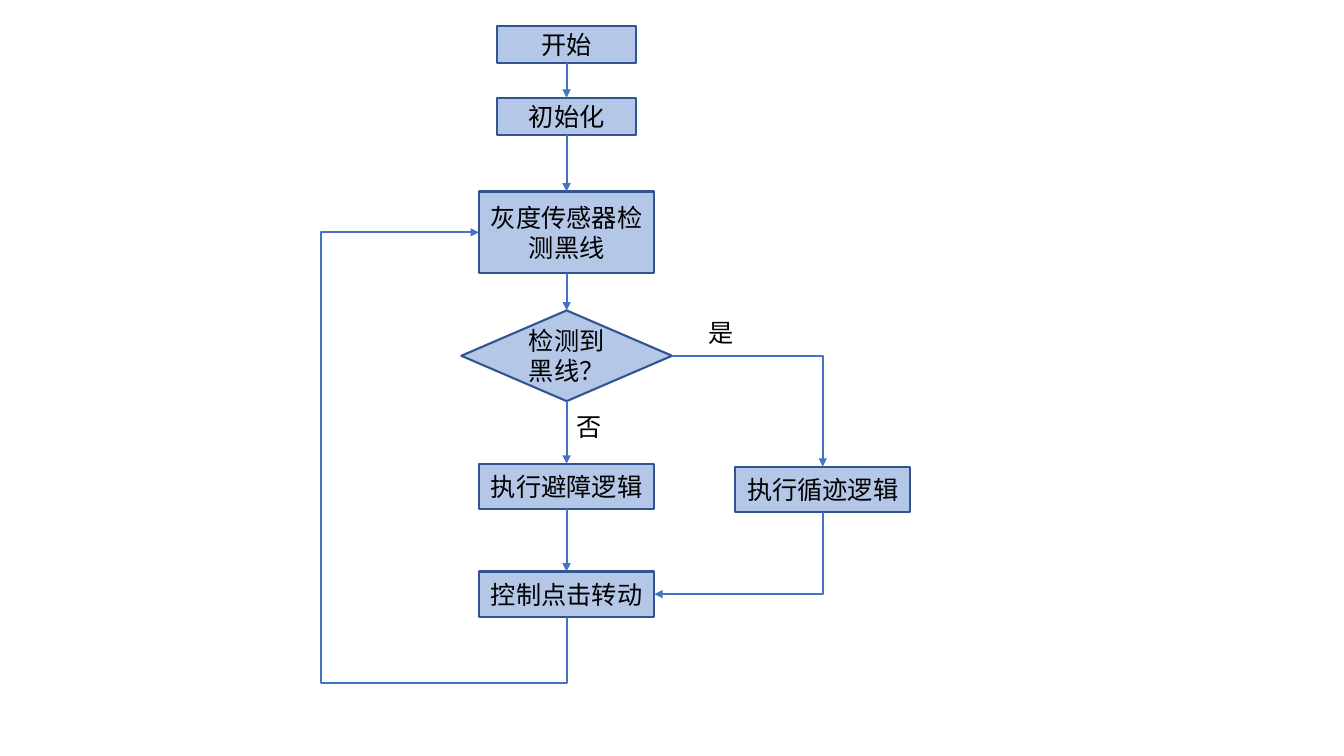
"""Build a flowchart slide for a line-following robot's control loop."""
from dataclasses import dataclass
from lxml import etree
from pptx import Presentation
from pptx.dml.color import RGBColor
from pptx.enum.shapes import MSO_CONNECTOR, MSO_SHAPE
from pptx.enum.text import MSO_ANCHOR, MSO_AUTO_SIZE, PP_ALIGN
from pptx.oxml.ns import qn
from pptx.util import Inches, Pt


@dataclass(frozen=True)
class Theme:
    fill: RGBColor = RGBColor(0xB4, 0xC7, 0xE7)
    border: RGBColor = RGBColor(0x32, 0x54, 0x91)
    arrow: RGBColor = RGBColor(0x44, 0x72, 0xC4)
    text: RGBColor = RGBColor(0, 0, 0)
    font: str = "Noto Sans CJK SC"
    size: Pt = Pt(18)
    stroke: Pt = Pt(1.5)


theme = Theme()


def write(holder, wording, alignment):
    paragraph = holder.text_frame.paragraphs[0]
    paragraph.text = wording
    paragraph.alignment = alignment
    font = paragraph.font
    font.name, font.size = theme.font, theme.size
    font.color.rgb = theme.text
    defaults = paragraph._p.pPr.find(qn("a:defRPr"))
    etree.SubElement(defaults, qn("a:ea"), typeface=theme.font)


def connect(kind, source, source_site, target, target_site):
    flow = slide.shapes.add_connector(kind, 0, 0, 0, 0)
    flow.begin_connect(source, source_site)
    flow.end_connect(target, target_site)
    flow.line.color.rgb = theme.arrow
    flow.line.width = theme.stroke
    etree.SubElement(flow.line._get_or_add_ln(), qn("a:tailEnd"), type="triangle")
    etree.SubElement(flow._element.spPr, qn("a:effectLst"))
    return flow


presentation = Presentation()
presentation.slide_width, presentation.slide_height = Inches(13.33), Inches(7.5)
slide = presentation.slides.add_slide(presentation.slide_layouts[6])

TOP, LEFT, BOTTOM, RIGHT = range(4)
main_axis, tracking_axis = 5.62, 8.16
step_specs = [
    ("开始", MSO_SHAPE.RECTANGLE, main_axis, 0.26, 1.38, 0.37),
    ("初始化", MSO_SHAPE.RECTANGLE, main_axis, 0.97, 1.38, 0.37),
    ("灰度传感器检测黑线", MSO_SHAPE.RECTANGLE, main_axis, 1.9, 1.74, 0.81),
    ("检测到黑线？", MSO_SHAPE.FLOWCHART_DECISION, main_axis, 3.08, 2.09, 0.9),
    ("执行避障逻辑", MSO_SHAPE.RECTANGLE, main_axis, 4.6, 1.74, 0.45),
    ("控制点击转动", MSO_SHAPE.RECTANGLE, main_axis, 5.67, 1.74, 0.45),
    ("执行循迹逻辑", MSO_SHAPE.RECTANGLE, tracking_axis, 4.63, 1.74, 0.45),
]
steps = []
for wording, outline, axis, top, width, height in step_specs:
    step = slide.shapes.add_shape(
        outline, Inches(axis - width / 2), Inches(top), Inches(width), Inches(height))
    step.shadow.inherit = False
    step.fill.solid()
    step.fill.fore_color.rgb = theme.fill
    step.line.color.rgb = theme.border
    step.line.width = theme.stroke
    step.text_frame.word_wrap = True
    step.text_frame.vertical_anchor = MSO_ANCHOR.MIDDLE
    write(step, wording, PP_ALIGN.CENTER)
    steps.append(step)

*main_steps, tracking = steps
for source, target in zip(main_steps, main_steps[1:]):
    connect(MSO_CONNECTOR.STRAIGHT, source, BOTTOM, target, TOP)

sensing, decision, avoiding, driving = main_steps[2:]
bends = [
    (decision, RIGHT, tracking, TOP, "bentConnector2", False, False, ()),
    (tracking, BOTTOM, driving, RIGHT, "bentConnector2", True, False, ()),
    (driving, BOTTOM, sensing, LEFT, "bentConnector4", True, True, (-17300, 279600)),
]
for source, source_site, target, target_site, preset, turned, flipped, bend_points in bends:
    flow = connect(MSO_CONNECTOR.ELBOW, source, source_site, target, target_site)
    across, down = abs(flow.end_x - flow.begin_x), abs(flow.end_y - flow.begin_y)
    center_x = (flow.begin_x + flow.end_x) // 2
    center_y = (flow.begin_y + flow.end_y) // 2
    frame = flow._element.spPr.find(qn("a:xfrm"))
    frame.attrib.clear()
    if turned:
        across, down = down, across
        frame.set("rot", "5400000")
    if flipped:
        frame.set("flipH", "1")
    flow.left, flow.top = center_x - across // 2, center_y - down // 2
    flow.width, flow.height = across, down
    geometry = flow._element.spPr.find(qn("a:prstGeom"))
    geometry.set("prst", preset)
    for number, value in enumerate(bend_points, 1):
        etree.SubElement(geometry.find(qn("a:avLst")), qn("a:gd"),
                         name=f"adj{number}", fmla=f"val {value}")

for answer, left, top in [("是", 6.93, 3.1), ("否", 5.62, 4.03)]:
    label = slide.shapes.add_textbox(Inches(left), Inches(top), Inches(0.45), Inches(0.4))
    label.text_frame.word_wrap = False
    label.text_frame.auto_size = MSO_AUTO_SIZE.SHAPE_TO_FIT_TEXT
    write(label, answer, PP_ALIGN.LEFT)

presentation.save("out.pptx")
